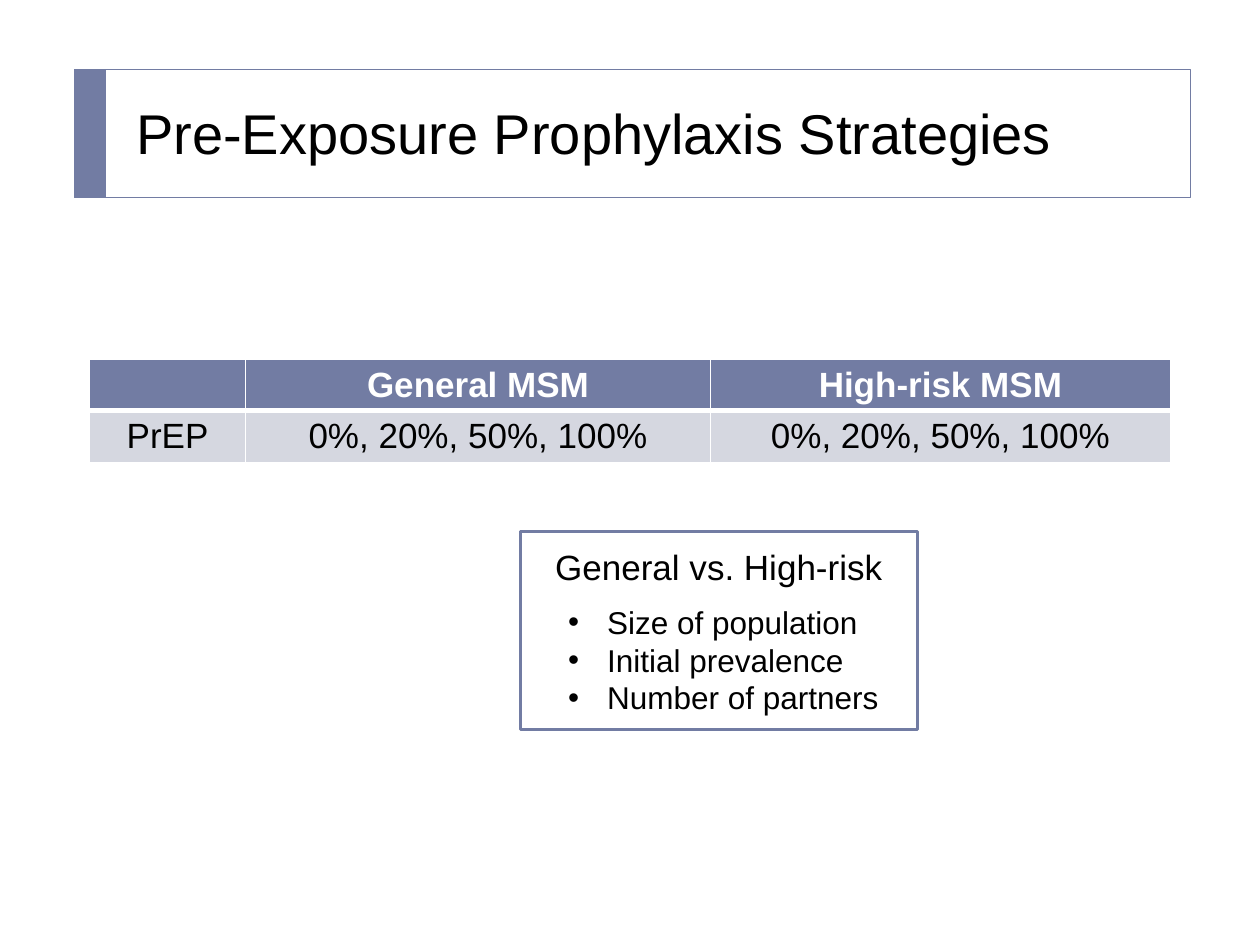
from lxml.etree import SubElement
from pptx import Presentation
from pptx.dml.color import RGBColor
from pptx.enum.shapes import MSO_SHAPE
from pptx.enum.text import MSO_ANCHOR, PP_ALIGN
from pptx.oxml.ns import qn
from pptx.util import Inches, Pt

ACCENT, PALE, WHITE, BLACK = "727CA3", "D5D7E0", "FFFFFF", "000000"
STRATEGIES = [
    ["", "General MSM", "High-risk MSM"],
    ["PrEP", "0%, 20%, 50%, 100%", "0%, 20%, 50%, 100%"],
]
DIFFERENCES = ["Size of population", "Initial prevalence", "Number of partners"]


def paint(color_format, color):
    """Give a fill or font colour its hex value."""
    color_format.rgb = RGBColor.from_string(color)


def style_text(paragraph, size, color=BLACK, bold=False, align=PP_ALIGN.LEFT):
    """Format every run of a paragraph."""
    paragraph.alignment = align
    for run in paragraph.runs:
        run.font.name = "Arial"
        run.font.size = Pt(size)
        run.font.bold = bold
        paint(run.font.color, color)


def add_box(slide, left, top, width, height, fill=None, line_width=None):
    """Add a flat rectangle with an optional fill and accent outline."""
    box = slide.shapes.add_shape(
        MSO_SHAPE.RECTANGLE, Inches(left), Inches(top), Inches(width), Inches(height))
    box.shadow.inherit = False
    if fill:
        box.fill.solid()
        paint(box.fill.fore_color, fill)
    else:
        box.fill.background()
    if line_width:
        paint(box.line.color, ACCENT)
        box.line.width = Pt(line_width)
    else:
        box.line.fill.background()
    return box


def add_title(slide, text):
    """Place the title in its frame with an accent bar."""
    add_box(slide, 0.59, 0.55, 8.86, 1.02, line_width=0.5)
    add_box(slide, 0.59, 0.55, 0.25, 1.02, fill=ACCENT)
    title = slide.shapes.title
    title.left, title.top = Inches(0.98), Inches(0.7)
    title.width, title.height = Inches(8.31), Inches(0.7)
    title.text_frame.text = text
    title.text_frame.vertical_anchor = MSO_ANCHOR.MIDDLE
    style_text(title.text_frame.paragraphs[0], 32)


def set_borders(cell, top, bottom):
    """Draw white cell borders, 1 point wide at the sides."""
    properties = cell._tc.get_or_add_tcPr()
    for side, width in (("L", 1), ("R", 1), ("T", top), ("B", bottom)):
        border = SubElement(properties, qn(f"a:ln{side}"), w=str(Pt(width)))
        fill = SubElement(border, qn("a:solidFill"))
        SubElement(fill, qn("a:srgbClr"), val=WHITE)


def add_strategy_table(slide, rows, column_widths, row_height):
    """Add the table with an accent header row."""
    table = slide.shapes.add_table(
        len(rows), len(column_widths), Inches(0.71), Inches(2.85),
        Inches(sum(column_widths)), Inches(row_height * len(rows))).table
    for column, width in zip(table.columns, column_widths):
        column.width = Inches(width)
    for row_index, row in enumerate(rows):
        header = row_index == 0
        for column_index, text in enumerate(row):
            cell = table.cell(row_index, column_index)
            set_borders(cell, *((1, 3) if header else (3, 1)))
            cell.fill.solid()
            paint(cell.fill.fore_color, ACCENT if header else PALE)
            cell.text_frame.text = text
            style_text(cell.text_frame.paragraphs[0], 20,
                       WHITE if header else BLACK, header, PP_ALIGN.CENTER)


def add_bullet(paragraph):
    """Give a paragraph a hanging round bullet."""
    properties = paragraph._p.get_or_add_pPr()
    properties.set("marL", str(Inches(0.59)))
    properties.set("indent", str(-Inches(0.31)))
    SubElement(properties, qn("a:buFont"), typeface="Arial")
    SubElement(properties, qn("a:buChar"), char="•")


def add_comparison(slide, heading, points):
    """Add the outlined box with a heading and bulleted points."""
    frame = add_box(slide, 4.13, 4.22, 3.15, 1.57, WHITE, 1.5).text_frame
    frame.word_wrap = True
    frame.vertical_anchor = MSO_ANCHOR.MIDDLE
    frame.text = heading
    frame.paragraphs[0].space_after = Pt(9)
    style_text(frame.paragraphs[0], 20, align=PP_ALIGN.CENTER)
    for point in points:
        paragraph = frame.add_paragraph()
        paragraph.text = point
        add_bullet(paragraph)
        style_text(paragraph, 18)


def main():
    """Build and save the slide."""
    presentation = Presentation()
    presentation.slide_width, presentation.slide_height = Inches(10), Inches(7.5)
    slide = presentation.slides.add_slide(presentation.slide_layouts[5])
    add_title(slide, "Pre‑Exposure Prophylaxis Strategies")
    add_strategy_table(slide, STRATEGIES, [1.24, 3.69, 3.65], 0.41)
    add_comparison(slide, "General vs. High-risk", DIFFERENCES)
    presentation.save("out.pptx")


if __name__ == "__main__":
    main()
